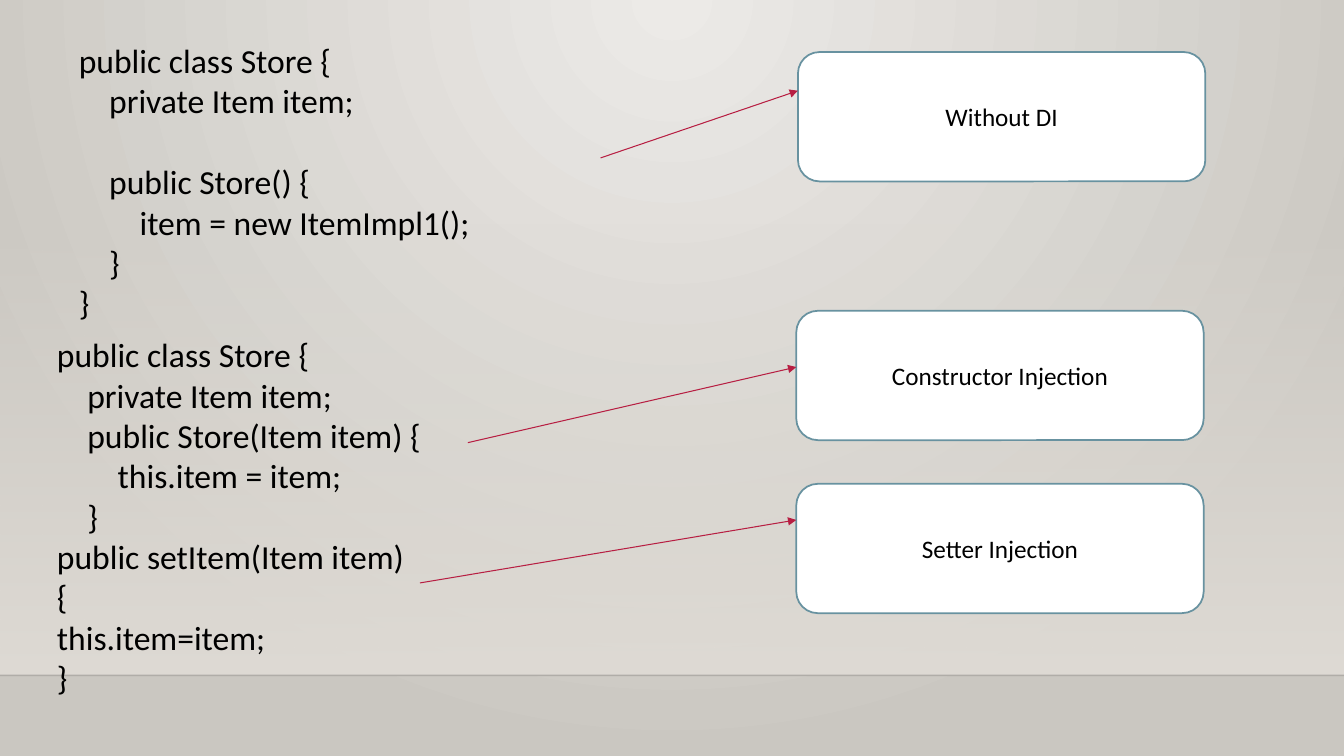
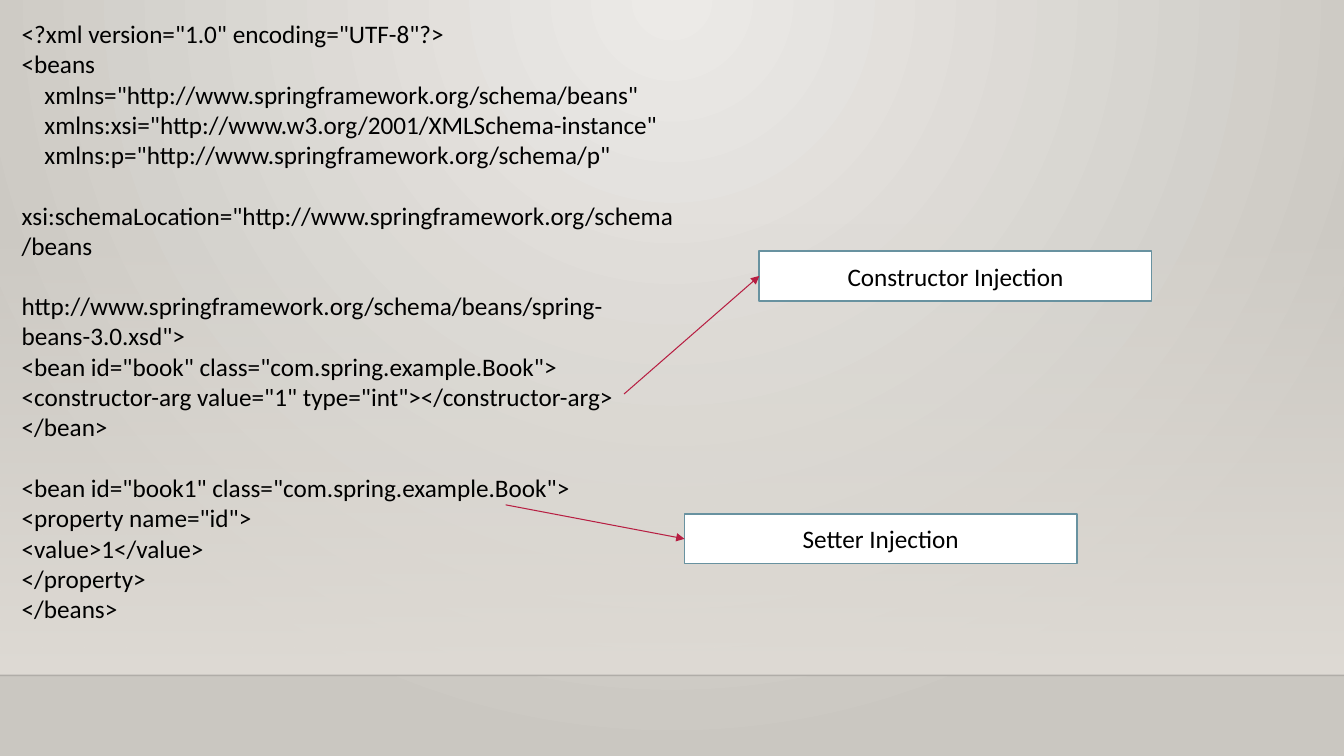
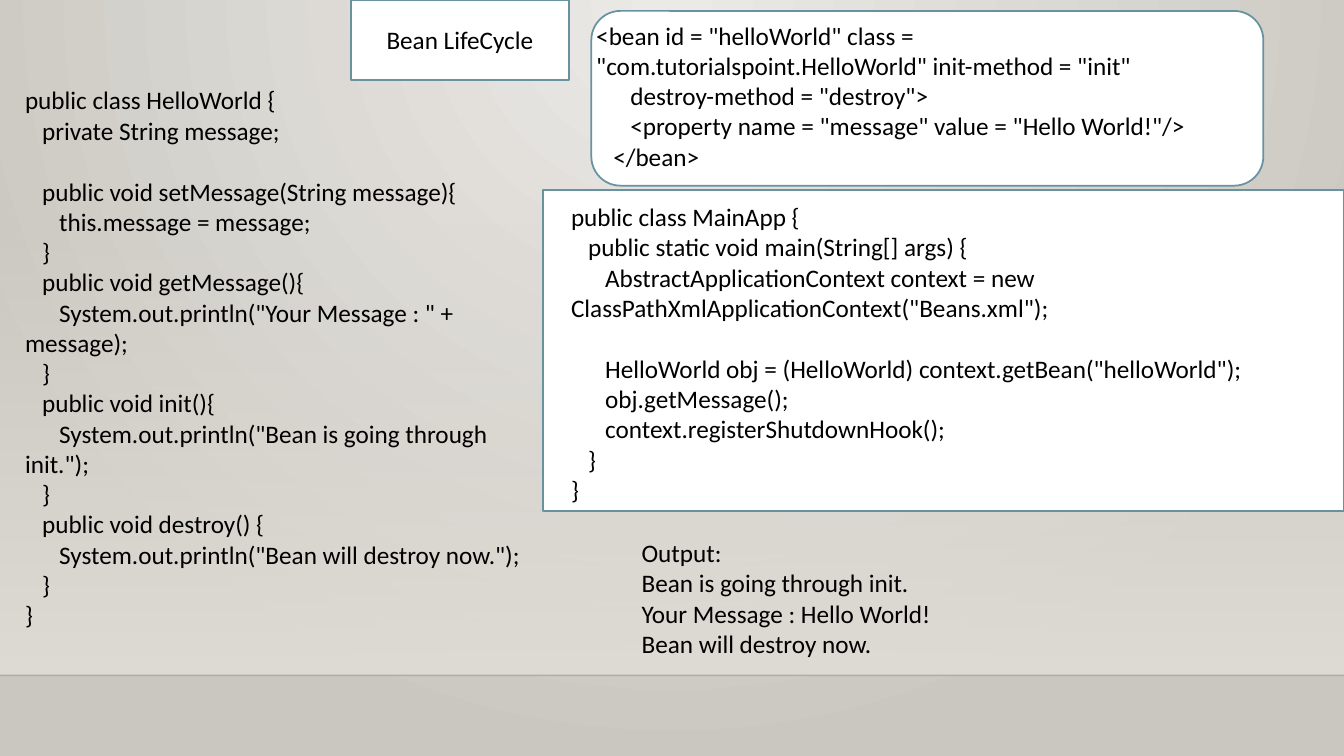
from pptx import Presentation
from pptx.dml.color import RGBColor
from pptx.enum.shapes import MSO_CONNECTOR as Connector, MSO_SHAPE as Preset
from pptx.enum.text import MSO_ANCHOR as Anchor, MSO_AUTO_SIZE as AutoSize, PP_ALIGN as Align
from pptx.oxml import parse_xml
from pptx.oxml.ns import nsdecls
from pptx.util import Inches, Pt

BLACK = RGBColor(0, 0, 0)
WHITE = RGBColor(0xFF, 0xFF, 0xFF)
TEAL = RGBColor(0x68, 0x92, 0xA0)
CRIMSON = RGBColor(0xB7, 0x1E, 0x42)
LIGHT = RGBColor(0xEC, 0xEA, 0xE7)
STONE = RGBColor(0xCA, 0xC7, 0xC1)
SAND = RGBColor(0xDF, 0xDB, 0xD5)

COLUMNS, ROWS = 160, 90
CELL = Inches(7.5) / ROWS
LEFT_SIDE = 1
LINE_HEIGHT = 1.22

STORE_PLAIN = """public class Store {
    private Item item;

    public Store() {
        item = new ItemImpl1();
    }
}"""

STORE_INJECTED = """public class Store {
    private Item item;
    public Store(Item item) {
        this.item = item;
    }
public setItem(Item item)
{
this.item=item;
}"""

BEANS_XML = """<?xml version="1.0" encoding="UTF-8"?>
<beans
    xmlns="http://www.springframework.org/schema/beans"
    xmlns:xsi="http://www.w3.org/2001/XMLSchema-instance"
    xmlns:p="http://www.springframework.org/schema/p"
    xsi:schemaLocation="http://www.springframework.org/schema/beans
                http://www.springframework.org/schema/beans/spring-beans-3.0.xsd">
<bean id="book" class="com.spring.example.Book">
<constructor-arg value="1" type="int"></constructor-arg>
</bean>

<bean id="book1" class="com.spring.example.Book">
<property name="id">
<value>1</value>
</property>
</beans>"""

HELLO_CLASS = """public class HelloWorld {
   private String message;

   public void setMessage(String message){
      this.message = message;
   }
   public void getMessage(){
      System.out.println("Your Message : " + message);
   }
   public void init(){
      System.out.println("Bean is going through init.");
   }
   public void destroy() {
      System.out.println("Bean will destroy now.");
   }
}"""

HELLO_BEAN = """<bean id = "helloWorld" class = "com.tutorialspoint.HelloWorld" init-method = "init"
      destroy-method = "destroy">
      <property name = "message" value = "Hello World!"/>
   </bean>"""

MAIN_APP = """public class MainApp {
   public static void main(String[] args) {
      AbstractApplicationContext context = new ClassPathXmlApplicationContext("Beans.xml");

      HelloWorld obj = (HelloWorld) context.getBean("helloWorld");
      obj.getMessage();
      context.registerShutdownHook();
   }
}"""

OUTPUT = """Output:
Bean is going through init.
Your Message : Hello World!
Bean will destroy now."""


def cells(*counts):
    """Turn grid counts into slide lengths."""
    return [round(count * CELL) for count in counts]


def write(frame, text, size=18, color=BLACK, align=Align.LEFT, anchor=Anchor.TOP):
    """Fill a frame line by line; an empty line becomes space before the next."""
    frame.word_wrap = True
    frame.vertical_anchor = anchor
    gap = 0
    paragraph = None
    for line in text.split("\n"):
        if not line:
            gap = size * LINE_HEIGHT
            continue
        paragraph = frame.add_paragraph() if paragraph else frame.paragraphs[0]
        paragraph.alignment = align
        paragraph.space_before = Pt(round(gap, 1))
        run = paragraph.add_run()
        run.text = line
        run.font.name = "Calibri"
        run.font.size = Pt(size)
        run.font.bold = False
        run.font.color.rgb = color
        gap = 0


def blend(solid_fill, stops, direction):
    """Replace a solid fill by a gradient of (position, colour, opacity) stops."""
    marks = "".join(
        f'<a:gs pos="{position * 1000}"><a:srgbClr val="{color}">'
        f'<a:alpha val="{opacity * 1000}"/></a:srgbClr></a:gs>'
        for position, color, opacity in stops)
    gradient = parse_xml(f'<a:gradFill {nsdecls("a")} rotWithShape="1">'
                         f'<a:gsLst>{marks}</a:gsLst>{direction}</a:gradFill>')
    solid_fill.getparent().replace(solid_fill, gradient)


class Deck:
    def __init__(self):
        self.prs = Presentation()
        self.prs.slide_width, self.prs.slide_height = cells(COLUMNS, ROWS)
        self.slide = None

    def new_slide(self, titled=False):
        layout = "Title Only" if titled else "Blank"
        self.slide = self.prs.slides.add_slide(self.prs.slide_layouts.get_by_name(layout))
        if len(self.prs.slides) == 1:
            self.backdrop()

    def backdrop(self):
        """Give the master the background, haze and floor line of all slides."""
        master = self.prs.slide_master
        master.background.fill.solid()
        blend(master.element.xpath("./p:cSld/p:bg/p:bgPr/a:solidFill")[0],
              [(0, LIGHT, 100), (100, STONE, 100)],
              '<a:path path="circle"><a:fillToRect l="43000" t="0" r="43000" b="100000"/></a:path>')

        haze = self.slide.shapes.add_shape(Preset.RECTANGLE, *cells(0, 26.5, COLUMNS, 53.9))
        haze.shadow.inherit = False
        haze.line.fill.background()
        haze.fill.solid()
        blend(haze.element.xpath("./p:spPr/a:solidFill")[0],
              [(0, SAND, 0), (100, SAND, 100)], '<a:lin ang="5400000" scaled="0"/>')

        floor = self.line((0, 80.4), (COLUMNS, 80.4), BLACK, 1)
        floor.element.xpath("./p:spPr/a:ln/a:solidFill/a:srgbClr")[0].append(
            parse_xml(f'<a:alpha {nsdecls("a")} val="20000"/>'))

        for index, part in enumerate((haze, floor)):
            part.element.xpath(".//p:cNvPr")[0].set("id", str(100 + index))
            master.shapes.element.insert(2 + index, part.element)

    def line(self, start, end, color, width):
        connector = self.slide.shapes.add_connector(Connector.STRAIGHT, *cells(*start, *end))
        connector.line.color.rgb = color
        connector.line.width = Pt(width)
        connector.element.spPr.append(parse_xml(f'<a:effectLst {nsdecls("a")}/>'))
        return connector

    def arrow(self, start, end=None, target=None):
        """Point at a place, or at the middle of the target's left side."""
        arrow = self.line(start, end or start, CRIMSON, 0.75)
        if target:
            arrow.end_connect(target, LEFT_SIDE)
        arrow.element.xpath("./p:spPr/a:ln")[0].append(
            parse_xml(f'<a:tailEnd {nsdecls("a")} type="triangle"/>'))

    def dress(self, shape, label):
        """Apply the white card look."""
        shape.fill.solid()
        shape.fill.fore_color.rgb = WHITE
        shape.line.color.rgb = TEAL
        shape.line.width = Pt(1.25)
        shape.shadow.inherit = False
        if label:
            write(shape.text_frame, label, align=Align.CENTER, anchor=Anchor.MIDDLE)

    def card(self, box, label="", preset=Preset.ROUNDED_RECTANGLE):
        card = self.slide.shapes.add_shape(preset, *cells(*box))
        self.dress(card, label)
        return card

    def title(self, box, label):
        title = self.slide.shapes.title
        title.left, title.top, title.width, title.height = cells(*box)
        title.element.spPr.insert(1, parse_xml(
            f'<a:prstGeom {nsdecls("a")} prst="roundRect"><a:avLst/></a:prstGeom>'))
        title.text_frame.auto_size = AutoSize.NONE
        self.dress(title, label)

    def text(self, box, content, **style):
        frame = self.slide.shapes.add_textbox(*cells(*box)).text_frame
        frame.auto_size = AutoSize.SHAPE_TO_FIT_TEXT
        write(frame, content, **style)


def injection_in_code(deck):
    deck.new_slide()
    deck.text((8.2, 4.1, 63, 35.2), STORE_PLAIN, size=24)
    deck.text((5.6, 39.2, 81.5, 44.9), STORE_INJECTED, size=24)
    for label, left, top, start, tip in (
            ("Without DI", 95, 6.2, (71.5, 18.8), 10.8),
            ("Constructor Injection", 94.8, 37, (55.7, 52.7), 43.7),
            ("Setter Injection", 94.8, 57.6, (50, 69.4), 61.9)):
        deck.card((left, top, 48.5, 15.4), label)
        deck.arrow(start, end=(left, tip))


def injection_in_xml(deck):
    deck.new_slide()
    deck.text((1.4, 1.6, 80, 77.5), BEANS_XML)
    for label, left, top, start in (
            ("Constructor Injection", 90.4, 29.9, (74.3, 46.9)),
            ("Setter Injection", 81.5, 61.2, (60.2, 60.1))):
        card = deck.card((left, top, 46.7, 5.9), label, Preset.RECTANGLE)
        deck.arrow(start, target=card)


def bean_life_cycle(deck):
    deck.new_slide(titled=True)
    deck.title((41.8, 0, 25.9, 9.5), "Bean LifeCycle")
    deck.card((64.6, 22.6, 95.4, 38.2), preset=Preset.RECTANGLE)
    deck.card((70.4, 1.3, 80, 20.8))
    deck.text((1.8, 9.5, 62.8, 66.6), HELLO_CLASS)
    deck.text((69.8, 1.8, 80, 19.4), HELLO_BEAN)
    deck.text((66.8, 23.4, 93.2, 37.6), MAIN_APP)
    deck.text((75.2, 63.4, 80, 15.7), OUTPUT)


def main():
    deck = Deck()
    injection_in_code(deck)
    injection_in_xml(deck)
    bean_life_cycle(deck)
    deck.prs.save("out.pptx")


if __name__ == "__main__":
    main()
